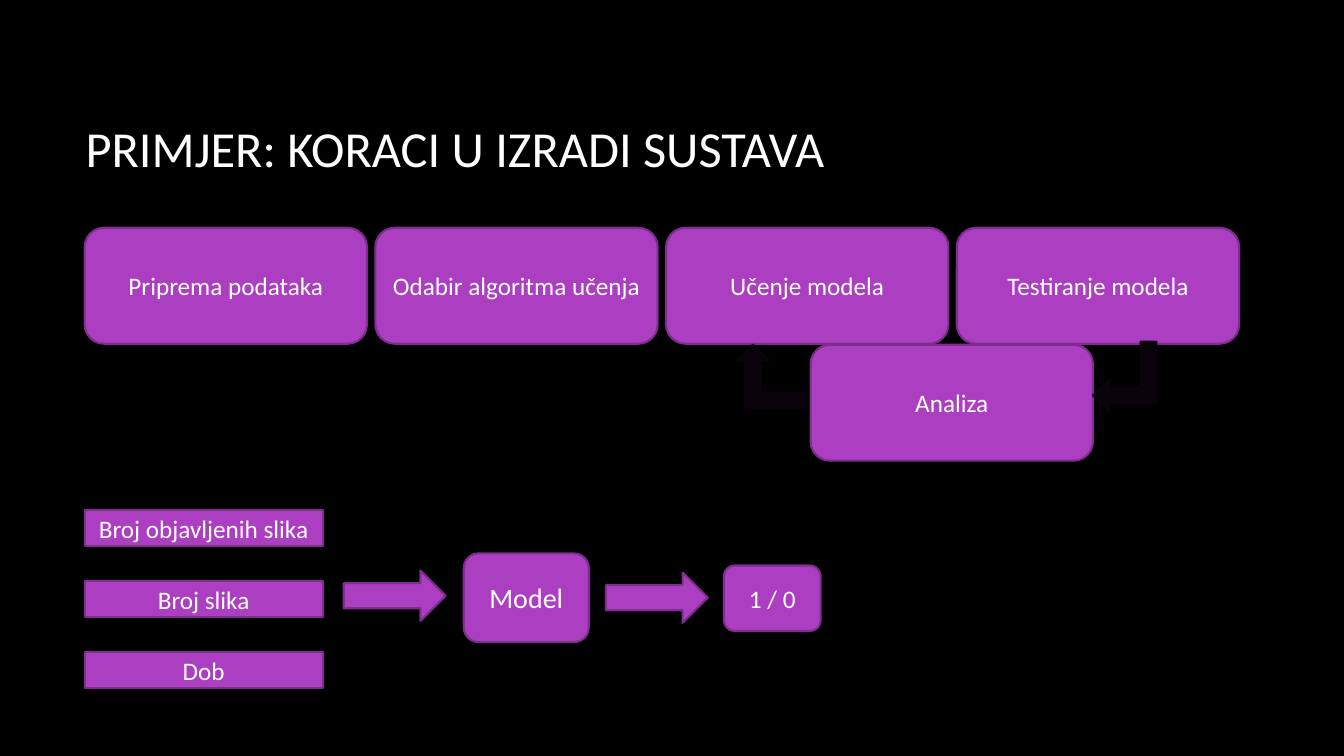
from pptx import Presentation
from pptx.dml.color import RGBColor
from pptx.enum import shapes, text
from pptx.util import Inches, Pt

PURPLE, PLUM, WHITE, BLACK, SHADE = "AC3EC1", "7F2E8F", "FFFFFF", "000000", "0A030C"
KIND = shapes.MSO_SHAPE


def rgb(value):
    return RGBColor.from_string(value)


def write(shape, words, size, align):
    frame = shape.text_frame
    frame.word_wrap = True
    frame.vertical_anchor = text.MSO_ANCHOR.MIDDLE
    frame.text = words
    paragraph = frame.paragraphs[0]
    paragraph.alignment = align
    font = paragraph.runs[0].font
    font.name, font.size = "Calibri", Pt(size)
    font.color.rgb = rgb(WHITE)


def add_block(slide, kind, box, words="", size=18, fill=PURPLE, line=PLUM):
    """Draw a filled, outlined shape in box (left, top, width, height in inches)."""
    block = slide.shapes.add_shape(kind, *map(Inches, box))
    block.shadow.inherit = False
    block.fill.solid()
    block.fill.fore_color.rgb = rgb(fill)
    block.line.color.rgb = rgb(line)
    block.line.width = Pt(1.5)
    if words:
        write(block, words, size, text.PP_ALIGN.CENTER)
    return block


def add_title(slide, box):
    title = slide.shapes.add_textbox(*map(Inches, box))
    write(title, "PRIMJER: KORACI U IZRADI SUSTAVA", 36, text.PP_ALIGN.LEFT)


def add_training_steps(slide, box):
    """Place four steps in a row, with the analysis loop under the last two."""
    left, top, width, height = box
    step_width, step_height = 2.8, 1.15
    steps = ["Priprema podataka", "Odabir algoritma učenja",
             "Učenje modela", "Testiranje modela"]
    pitch = (width - step_width) / (len(steps) - 1)
    for i, step in enumerate(steps):
        add_block(slide, KIND.ROUNDED_RECTANGLE,
                  (left + i * pitch, top, step_width, step_height), step)

    loop_top = top + height - step_height
    add_block(slide, KIND.ROUNDED_RECTANGLE,
              (left + 7.2, loop_top, step_width, step_height), "Analiza")
    for offset, rotation in ((6.47, 0), (9.97, 270)):
        turn = add_block(slide, KIND.BENT_UP_ARROW,
                         (left + offset, loop_top, 0.69, 0.63), fill=SHADE, line=SHADE)
        turn.rotation = rotation
        turn._element.spPr.xfrm.set("flipH", "1")


def add_prediction(slide, box):
    """Lead the stacked inputs through the model to its output."""
    left, top, width, height = box
    input_width, input_height = 2.36, 0.36
    inputs = ["Broj objavljenih slika", "Broj slika", "Dob"]
    pitch = (height - input_height) / (len(inputs) - 1)
    for i, name in enumerate(inputs):
        add_block(slide, KIND.RECTANGLE,
                  (left, top + i * pitch, input_width, input_height), name)

    for offset, drop in ((2.57, 0.6), (5.17, 0.62)):
        add_block(slide, KIND.RIGHT_ARROW, (left + offset, top + drop, 1.01, 0.5))
    add_block(slide, KIND.ROUNDED_RECTANGLE,
              (left + 3.76, top + 0.43, 1.24, 0.88), "Model", 20)
    output_width = 0.96
    add_block(slide, KIND.ROUNDED_RECTANGLE,
              (left + width - output_width, top + 0.55, output_width, 0.65), "1 / 0")


def main():
    deck = Presentation()
    deck.slide_width, deck.slide_height = Inches(13.33), Inches(7.5)
    slide = deck.slides.add_slide(deck.slide_layouts[6])
    slide.background.fill.solid()
    slide.background.fill.fore_color.rgb = rgb(BLACK)
    add_title(slide, (0.75, 0.67, 11.08, 1.59))
    add_training_steps(slide, (0.84, 2.26, 11.45, 2.31))
    add_prediction(slide, (0.84, 5.06, 7.3, 1.77))
    deck.save("out.pptx")


if __name__ == "__main__":
    main()
